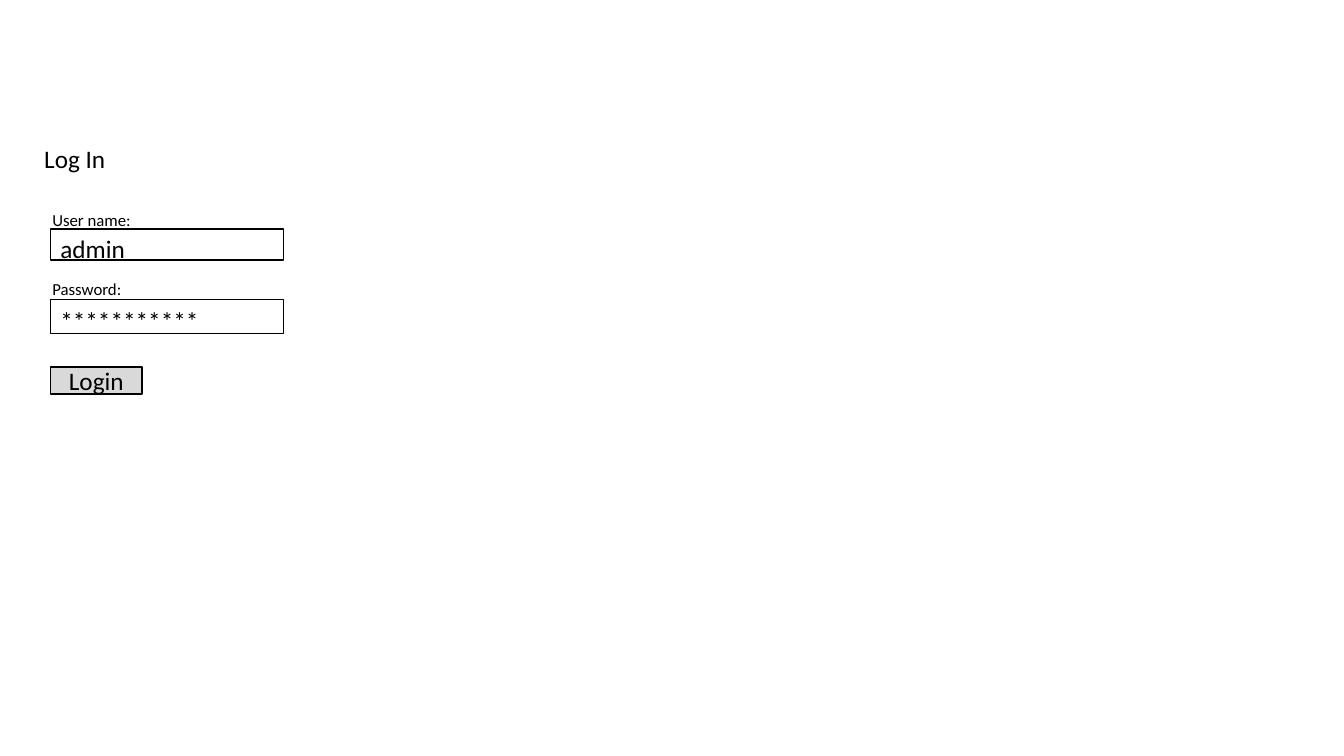
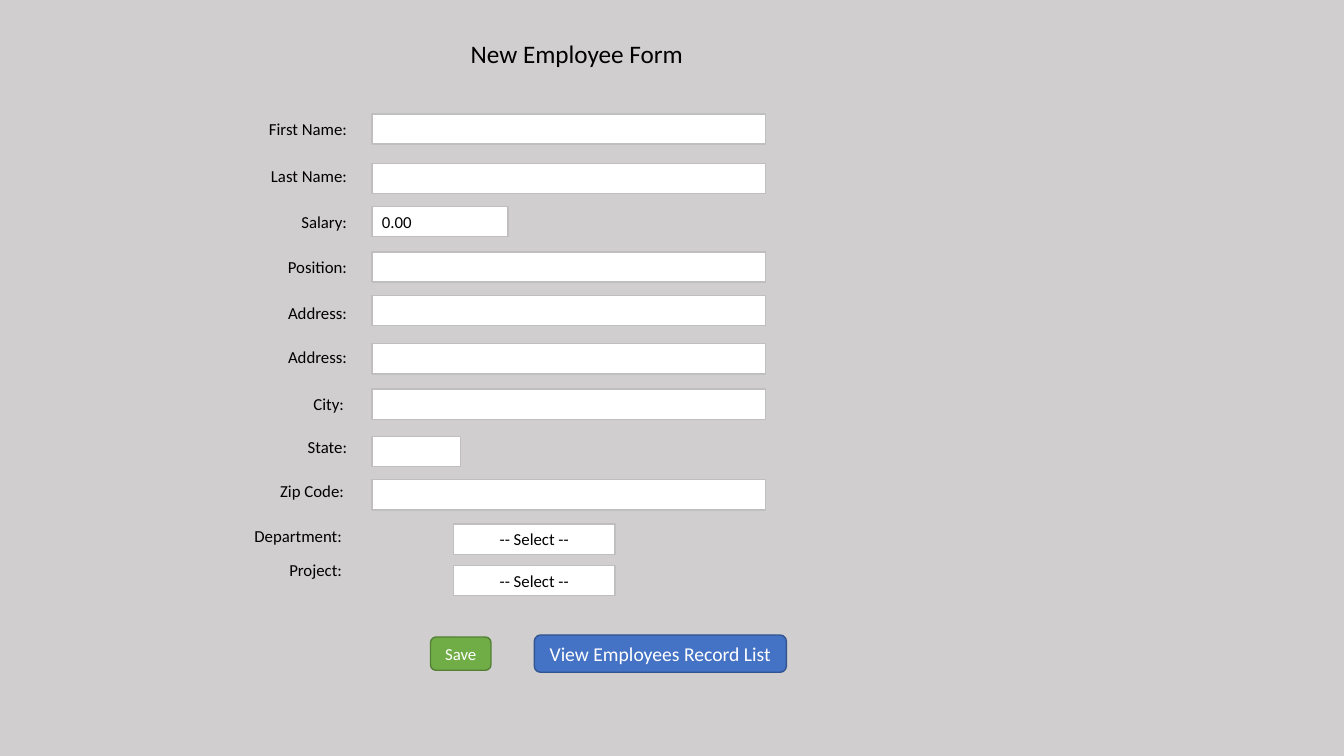
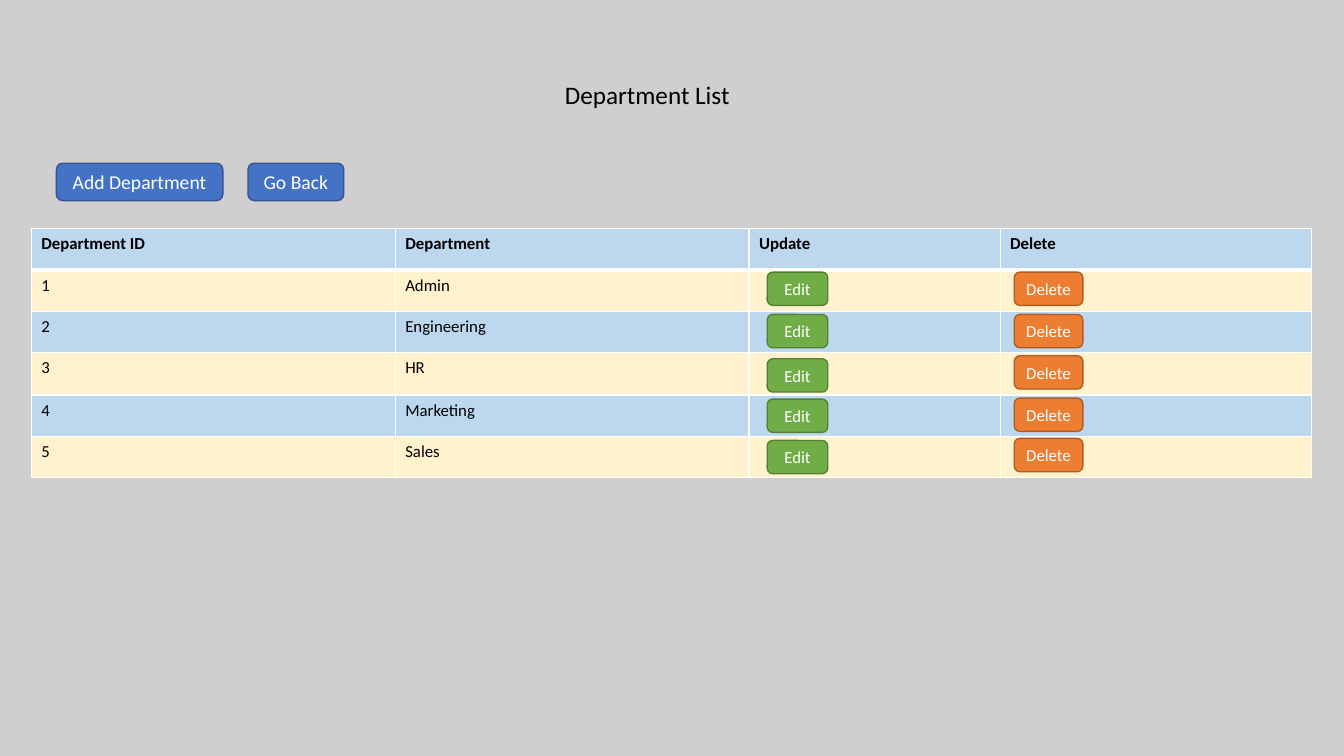
from dataclasses import dataclass
from typing import Optional

import lxml.etree
import pptx
import pptx.dml.color
import pptx.enum.shapes
import pptx.enum.text
import pptx.oxml.ns
import pptx.presentation
import pptx.slide
import pptx.table
import pptx.text.text
import pptx.util

Inches = pptx.util.Inches
Align = pptx.enum.text.PP_ALIGN
Preset = pptx.enum.shapes.MSO_SHAPE

FONT = "Calibri"
COLOURS = {
    "black": "000000",
    "white": "FFFFFF",
    "page": "D0CECE",
    "grey": "D9D9D9",
    "field line": "BFBFBF",
    "green": "70AD47",
    "dark green": "538035",
    "blue": "4472C4",
    "dark blue": "325491",
    "orange": "ED7D31",
    "dark orange": "AF5C24",
    "pale blue": "BDD7EE",
    "cream": "FFF2CC",
}


@dataclass(frozen=True)
class BoxStyle:
    fill: Optional[str]
    line: str
    size: int = 12
    colour: str = "black"
    align: Align = Align.CENTER
    preset: Preset = Preset.RECTANGLE


@dataclass(frozen=True)
class FormRow:
    label: str
    label_right: float
    label_top: float
    field_top: float
    field_left: float = 3.69
    field_width: float = 3.9
    value: str = ""
    align: Align = Align.LEFT


@dataclass(frozen=True)
class LoginField:
    label: str
    label_top: float
    top: float
    height: float
    value: str
    value_top: float


@dataclass(frozen=True)
class Department:
    name: str
    edit_top: float
    delete_top: float


def button(colour: str, size: int = 12) -> BoxStyle:
    return BoxStyle(colour, "dark " + colour, size, "white", preset=Preset.ROUNDED_RECTANGLE)


LOGIN_FIELD = BoxStyle(None, "black")
LOGIN_BUTTON = BoxStyle("grey", "black", 18)
NAVIGATE_BUTTON = button("blue", 14)
CONFIRM_BUTTON = button("green")
DELETE_BUTTON = button("orange")

LOGIN_FIELDS = [
    LoginField("User name:", 2.03, 2.27, 0.31, "admin", 2.27),
    LoginField("Password:", 2.72, 2.97, 0.34, "***********", 2.98),
]
FORM_ROWS = [
    FormRow("First Name:", 3.54, 1.13, 1.13),
    FormRow("Last Name:", 3.54, 1.6, 1.62),
    FormRow("Salary:", 3.54, 2.05, 2.05, field_width=1.35, value="0.00"),
    FormRow("Position:", 3.54, 2.5, 2.5),
    FormRow("Address:", 3.54, 2.95, 2.93),
    FormRow("Address:", 3.54, 3.39, 3.41),
    FormRow("City:", 3.51, 3.86, 3.86),
    FormRow("State:", 3.54, 4.28, 4.33, field_width=0.88),
    FormRow("Zip Code:", 3.51, 4.72, 4.76),
    FormRow("Department:", 3.49, 5.17, 5.2, 4.5, 1.6, "-- Select --", Align.CENTER),
    FormRow("Project:", 3.49, 5.5, 5.61, 4.5, 1.6, "-- Select --", Align.CENTER),
]
DEPARTMENTS = [
    Department("Admin", 2.7, 2.7),
    Department("Engineering", 3.12, 3.12),
    Department("HR", 3.56, 3.53),
    Department("Marketing", 3.96, 3.95),
    Department("Sales", 4.37, 4.35),
]
HEADINGS = ["Department ID", "Department", "Update", "Delete"]
COLUMN_WIDTHS = [3.61, 3.51, 2.49, 3.09]
ROW_HEIGHTS = [0.41, 0.41, 0.41, 0.42, 0.41, 0.41]


def rgb(name: str) -> pptx.dml.color.RGBColor:
    return pptx.dml.color.RGBColor.from_string(COLOURS[name])


def add_run(paragraph: pptx.text.text._Paragraph, text: str, size: int,
            colour: str = "black", bold: bool = False) -> None:
    run = paragraph.add_run()
    run.text = text
    run.font.name = FONT
    run.font.size = pptx.util.Pt(size)
    run.font.bold = bold
    run.font.color.rgb = rgb(colour)


def add_text(slide: pptx.slide.Slide, text: str, left: float, top: float, width: float,
             size: int = 12, align: Align = Align.LEFT) -> None:
    height = 0.4 if size == 18 else 0.3
    shape = slide.shapes.add_textbox(Inches(left), Inches(top), Inches(width), Inches(height))
    frame = shape.text_frame
    frame.word_wrap = True
    frame.auto_size = pptx.enum.text.MSO_AUTO_SIZE.SHAPE_TO_FIT_TEXT
    paragraph = frame.paragraphs[0]
    paragraph.alignment = align
    add_run(paragraph, text, size)


def add_box(slide: pptx.slide.Slide, style: BoxStyle, text: str,
            left: float, top: float, width: float, height: float) -> None:
    shape = slide.shapes.add_shape(
        style.preset, Inches(left), Inches(top), Inches(width), Inches(height))
    shape.shadow.inherit = False
    if style.fill:
        shape.fill.solid()
        shape.fill.fore_color.rgb = rgb(style.fill)
    else:
        shape.fill.background()
    shape.line.color.rgb = rgb(style.line)
    shape.line.width = pptx.util.Pt(1)
    if text:
        frame = shape.text_frame
        frame.word_wrap = style.align == Align.LEFT
        frame.vertical_anchor = pptx.enum.text.MSO_ANCHOR.MIDDLE
        paragraph = frame.paragraphs[0]
        paragraph.alignment = style.align
        add_run(paragraph, text, style.size, style.colour)


def add_page(presentation: pptx.presentation.Presentation, background: str) -> pptx.slide.Slide:
    slide = presentation.slides.add_slide(presentation.slide_layouts[6])
    slide.background.fill.solid()
    slide.background.fill.fore_color.rgb = rgb(background)
    return slide


def set_borders(cell: pptx.table._Cell, top: int, bottom: int) -> None:
    properties = cell._tc.get_or_add_tcPr()
    for side, points in (("lnL", 1), ("lnR", 1), ("lnT", top), ("lnB", bottom)):
        line = lxml.etree.SubElement(
            properties, pptx.oxml.ns.qn("a:" + side), w=str(pptx.util.Pt(points)))
        fill = lxml.etree.SubElement(line, pptx.oxml.ns.qn("a:solidFill"))
        lxml.etree.SubElement(fill, pptx.oxml.ns.qn("a:srgbClr"), val=COLOURS["white"])


def add_department_table(slide: pptx.slide.Slide) -> None:
    rows = [HEADINGS] + [
        [str(number), department.name, "", ""]
        for number, department in enumerate(DEPARTMENTS, 1)
    ]
    table = slide.shapes.add_table(
        len(rows), len(HEADINGS), Inches(0.31), Inches(2.27),
        Inches(sum(COLUMN_WIDTHS)), Inches(sum(ROW_HEIGHTS))).table
    for column, width in zip(table.columns, COLUMN_WIDTHS):
        column.width = Inches(width)
    for row_index, texts in enumerate(rows):
        table.rows[row_index].height = Inches(ROW_HEIGHTS[row_index])
        for column_index, text in enumerate(texts):
            cell = table.cell(row_index, column_index)
            set_borders(cell, 3 if row_index == 1 else 1, 3 if row_index == 0 else 1)
            cell.fill.solid()
            cell.fill.fore_color.rgb = rgb("cream" if row_index % 2 else "pale blue")
            if text:
                add_run(cell.text_frame.paragraphs[0], text, 12, bold=row_index == 0)


def build_login(presentation: pptx.presentation.Presentation) -> None:
    slide = add_page(presentation, "white")
    add_text(slide, "Log In", 0.34, 1.37, 1.41, 18)
    for field in LOGIN_FIELDS:
        add_text(slide, field.label, 0.42, field.label_top, 2.31)
        add_box(slide, LOGIN_FIELD, "", 0.5, field.top, 2.31, field.height)
        add_text(slide, field.value, 0.5, field.value_top, 2.31, 18)
    add_box(slide, LOGIN_BUTTON, "Login", 0.5, 3.64, 0.91, 0.27)


def build_employee_form(presentation: pptx.presentation.Presentation) -> None:
    slide = add_page(presentation, "page")
    add_text(slide, "New Employee Form", 4.57, 0.33, 3.63, 18)
    label_width = 1.35
    for row in FORM_ROWS:
        add_text(slide, row.label, row.label_right - label_width, row.label_top,
                 label_width, align=Align.RIGHT)
        add_box(slide, BoxStyle("white", "field line", align=row.align), row.value,
                row.field_left, row.field_top, row.field_width, 0.3)
    add_box(slide, CONFIRM_BUTTON, "Save", 4.27, 6.32, 0.6, 0.33)
    add_box(slide, NAVIGATE_BUTTON, "View Employees Record List", 5.3, 6.3, 2.5, 0.37)


def build_department_list(presentation: pptx.presentation.Presentation) -> None:
    slide = add_page(presentation, "page")
    add_text(slide, "Department List", 4.17, 0.74, 4.5, 18, Align.CENTER)
    add_box(slide, NAVIGATE_BUTTON, "Add Department", 0.56, 1.62, 1.65, 0.37)
    add_box(slide, NAVIGATE_BUTTON, "Go Back", 2.46, 1.62, 0.95, 0.37)
    add_department_table(slide)
    for department in DEPARTMENTS:
        add_box(slide, CONFIRM_BUTTON, "Edit", 7.61, department.edit_top, 0.6, 0.33)
        add_box(slide, DELETE_BUTTON, "Delete", 10.06, department.delete_top, 0.68, 0.33)


def main() -> None:
    presentation = pptx.Presentation()
    presentation.slide_width = Inches(13.33)
    presentation.slide_height = Inches(7.5)
    build_login(presentation)
    build_employee_form(presentation)
    build_department_list(presentation)
    presentation.save("out.pptx")


if __name__ == "__main__":
    main()
